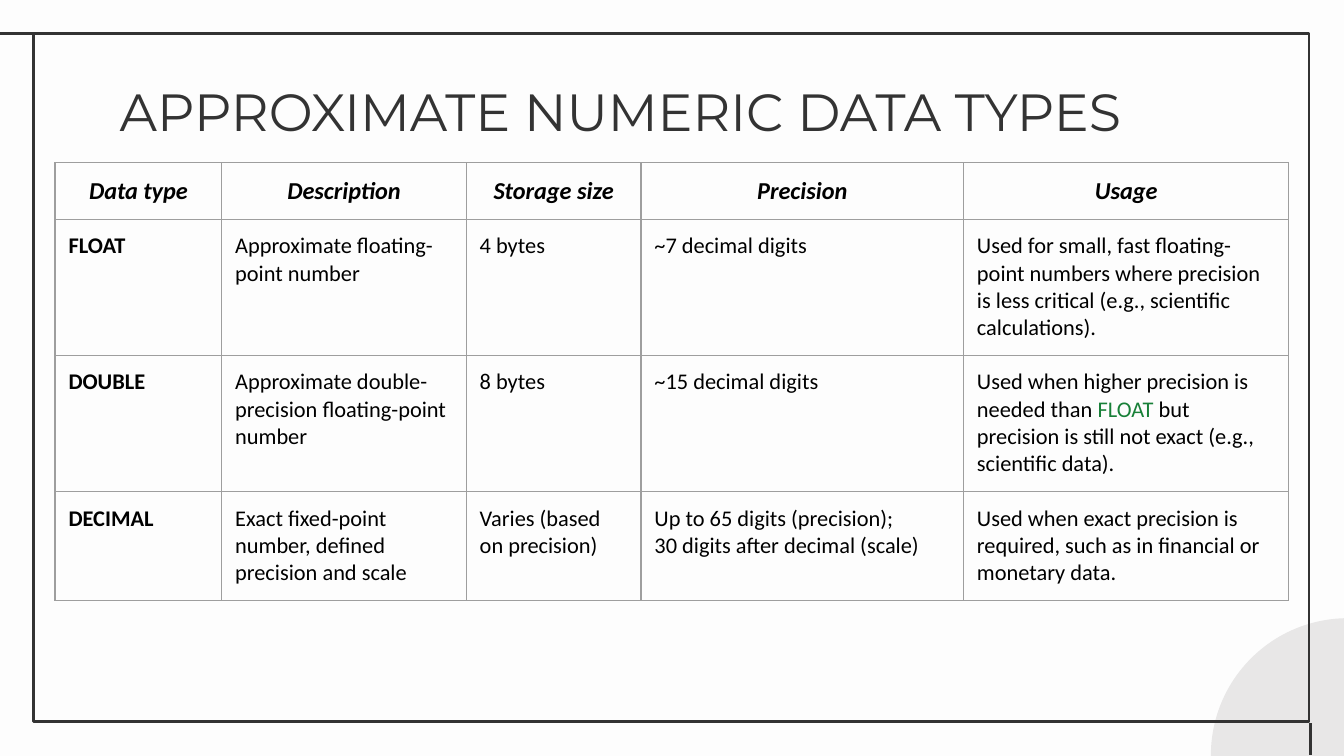
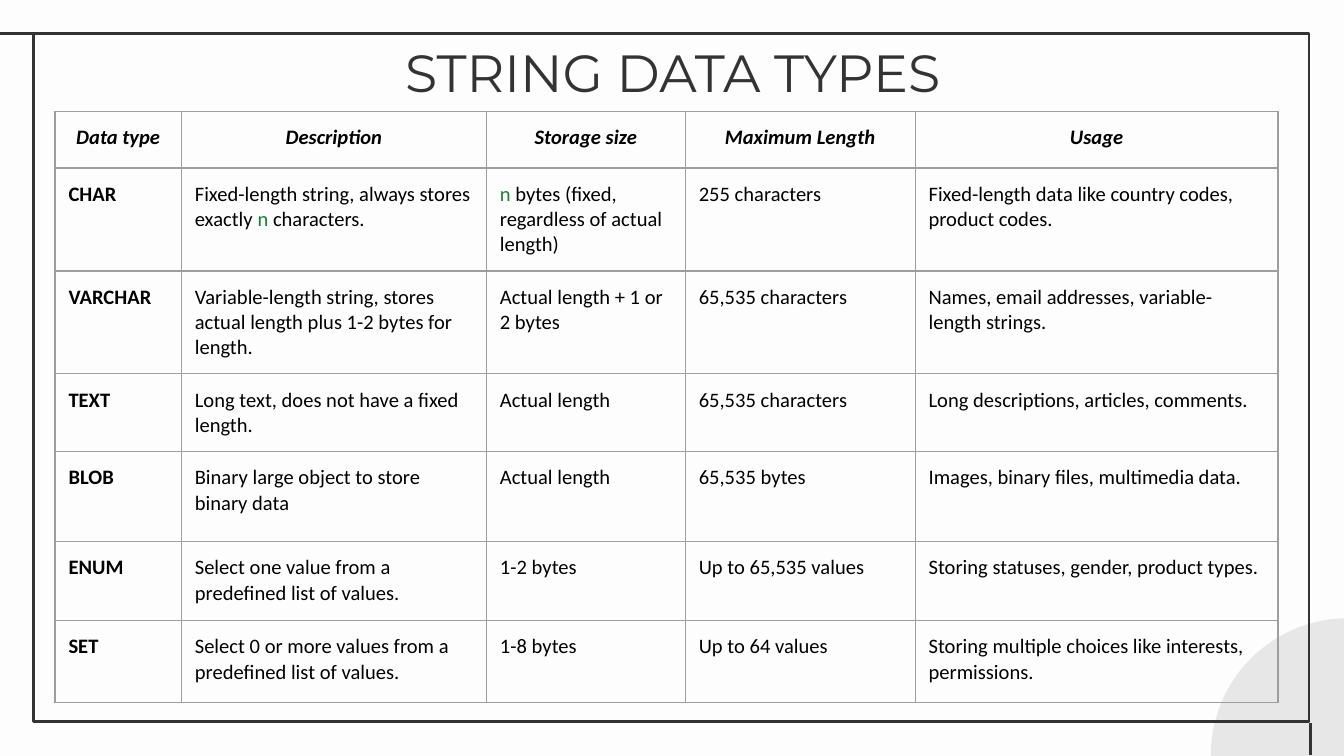
from lxml.etree import SubElement
from pptx import Presentation
from pptx.dml.color import RGBColor
from pptx.enum.shapes import MSO_CONNECTOR, MSO_SHAPE
from pptx.enum.text import MSO_ANCHOR, MSO_AUTO_SIZE, PP_ALIGN
from pptx.oxml.ns import qn
from pptx.util import Inches, Pt

COLORS = {
    "page": "FDFDFD",
    "ink": "333333",
    "circle": "E8E7E7",
    "text": "000000",
    "code": "188038",
    "grid": "9E9E9E",
}
INSETS = {f"margin_{side}": Inches(0.1) for side in ("left", "top", "right", "bottom")}


def rgb(name):
    return RGBColor.from_string(COLORS[name])


def set_all(obj, values):
    for name, value in values.items():
        setattr(obj, name, value)


class Deck:
    title_font = {"name": "Montserrat", "size": Pt(28), "bold": False}
    header_font = {"name": "Calibri", "bold": True, "italic": True}
    label_font = {"name": "Calibri", "bold": True, "italic": False}
    body_font = {"name": "Calibri", "bold": False, "italic": False}

    def __init__(self):
        self.prs = Presentation()
        self.prs.slide_width = Inches(10)
        self.prs.slide_height = Inches(5.625)
        self.s = None

    def slide(self, title, top, align):
        self.s = self.prs.slides.add_slide(self.prs.slide_layouts[5])
        fill = self.s.background.fill
        fill.solid()
        fill.fore_color.rgb = rgb("page")
        self.shape(MSO_SHAPE.OVAL, 9.01, 4.6, 2.04, 2.04, fill="circle")
        self.shape(MSO_SHAPE.RECTANGLE, 0.25, 0.25, 9.49, 5.12, line="ink")
        self.line(0.26, 0.25, 0, 0.25)
        self.line(9.75, 5.38, 9.75, 5.62)
        self.title(title, top, align)

    def shape(self, kind, x, y, w, h, fill=None, line=None):
        sp = self.s.shapes.add_shape(kind, Inches(x), Inches(y), Inches(w), Inches(h))
        sp.shadow.inherit = False
        if fill:
            sp.fill.solid()
            sp.fill.fore_color.rgb = rgb(fill)
        else:
            sp.fill.background()
        if line:
            sp.line.color.rgb = rgb(line)
            sp.line.width = Pt(1.5)
        else:
            sp.line.fill.background()

    def line(self, x1, y1, x2, y2):
        sp = self.s.shapes.add_connector(
            MSO_CONNECTOR.STRAIGHT, Inches(x1), Inches(y1), Inches(x2), Inches(y2)
        )
        sp.line.color.rgb = rgb("ink")
        sp.line.width = Pt(1.5)
        SubElement(sp._element.spPr, qn("a:effectLst"))

    def title(self, text, top, align):
        sp = self.s.shapes.title
        place = {"left": 0.79, "top": top, "width": 8.43, "height": 0.63}
        set_all(sp, {name: Inches(value) for name, value in place.items()})
        tf = sp.text_frame
        set_all(tf, INSETS)
        tf.word_wrap = True
        tf.auto_size = MSO_AUTO_SIZE.NONE
        tf.vertical_anchor = MSO_ANCHOR.TOP
        p = tf.paragraphs[0]
        p.alignment = align
        self.run(p, text, self.title_font, "ink")

    def run(self, p, text, font, color):
        r = p.add_run()
        r.text = text
        set_all(r.font, font)
        r.font.color.rgb = rgb(color)

    def borders(self, cell):
        tc_pr = cell._tc.get_or_add_tcPr()
        for i, tag in enumerate(("a:lnL", "a:lnR", "a:lnT", "a:lnB")):
            ln = tc_pr.makeelement(qn(tag), {"w": str(Pt(0.75))})
            fill = SubElement(ln, qn("a:solidFill"))
            SubElement(fill, qn("a:srgbClr"), {"val": COLORS["grid"]})
            tc_pr.insert(i, ln)

    def cell(self, cell, text, font, align):
        set_all(cell, INSETS)
        cell.vertical_anchor = MSO_ANCHOR.TOP
        cell.fill.background()
        self.borders(cell)
        tf = cell.text_frame
        for i, line in enumerate(text.split("\n")):
            p = tf.add_paragraph() if i else tf.paragraphs[0]
            p.alignment = align
            for j, part in enumerate(line.split("`")):
                if part:
                    self.run(p, part, font, "code" if j % 2 else "text")

    def table(self, top, cols, heights, rows, header_size, body_size):
        table = self.s.shapes.add_table(
            len(rows), len(cols), Inches(0.41), Inches(top),
            Inches(sum(cols)), Inches(sum(heights)),
        ).table
        table.first_row = table.horz_banding = False
        for col, width in zip(table.columns, cols):
            col.width = Inches(width)
        for row, height in zip(table.rows, heights):
            row.height = Inches(height)
        for i, row in enumerate(rows):
            for j, text in enumerate(row):
                font, size, align = self.body_font, body_size, PP_ALIGN.LEFT
                if i == 0:
                    font, size, align = self.header_font, header_size, PP_ALIGN.CENTER
                elif j == 0:
                    font = self.label_font
                self.cell(table.cell(i, j), text, {**font, "size": Pt(size)}, align)


NUMERIC_TYPES = [
    ["Data type", "Description", "Storage size", "Precision", "Usage"],
    ["FLOAT", "Approximate floating-point number", "4 bytes", "~7 decimal digits",
     "Used for small, fast floating-point numbers where precision is less critical "
     "(e.g., scientific calculations)."],
    ["DOUBLE", "Approximate double-precision floating-point number", "8 bytes",
     "~15 decimal digits",
     "Used when higher precision is needed than `FLOAT `but precision is still not "
     "exact (e.g., scientific data)."],
    ["DECIMAL", "Exact fixed-point number, defined precision and scale",
     "Varies (based on precision)",
     "Up to 65 digits (precision);\n30 digits after decimal (scale)",
     "Used when exact precision is required, such as in financial or monetary data."],
]

STRING_TYPES = [
    ["Data type", "Description", "Storage size", "Maximum Length", "Usage"],
    ["CHAR", "Fixed-length string, always stores exactly `n` characters.",
     "`n` bytes (fixed, regardless of actual length)", "255 characters",
     "Fixed-length data like country codes, product codes."],
    ["VARCHAR", "Variable-length string, stores actual length plus 1-2 bytes for length.",
     "Actual length + 1 or 2 bytes", "65,535 characters",
     "Names, email addresses, variable-length strings."],
    ["TEXT", "Long text, does not have a fixed length.", "Actual length",
     "65,535 characters", "Long descriptions, articles, comments."],
    ["BLOB", "Binary large object to store binary data", "Actual length",
     "65,535 bytes", "Images, binary files, multimedia data."],
    ["ENUM", "Select one value from a predefined list of values.", "1-2 bytes",
     "Up to 65,535 values", "Storing statuses, gender, product types."],
    ["SET", "Select 0 or more values from a predefined list of values.", "1-8 bytes",
     "Up to 64 values", "Storing multiple choices like interests, permissions."],
]


def main():
    deck = Deck()
    deck.slide("APPROXIMATE NUMERIC DATA TYPES", 0.49, PP_ALIGN.LEFT)
    deck.table(1.21, [1.24, 1.82, 1.3, 2.4, 2.42], [0.42, 0.42, 0.71, 0.42],
               NUMERIC_TYPES, 13, 12)
    deck.slide("STRING DATA TYPES", 0.2, PP_ALIGN.CENTER)
    deck.table(0.83, [0.94, 2.27, 1.48, 1.71, 2.7],
               [0.42, 0.42, 0.71, 0.55, 0.67, 0.59, 0.61], STRING_TYPES, 11, 11)
    deck.prs.save("out.pptx")


if __name__ == "__main__":
    main()
